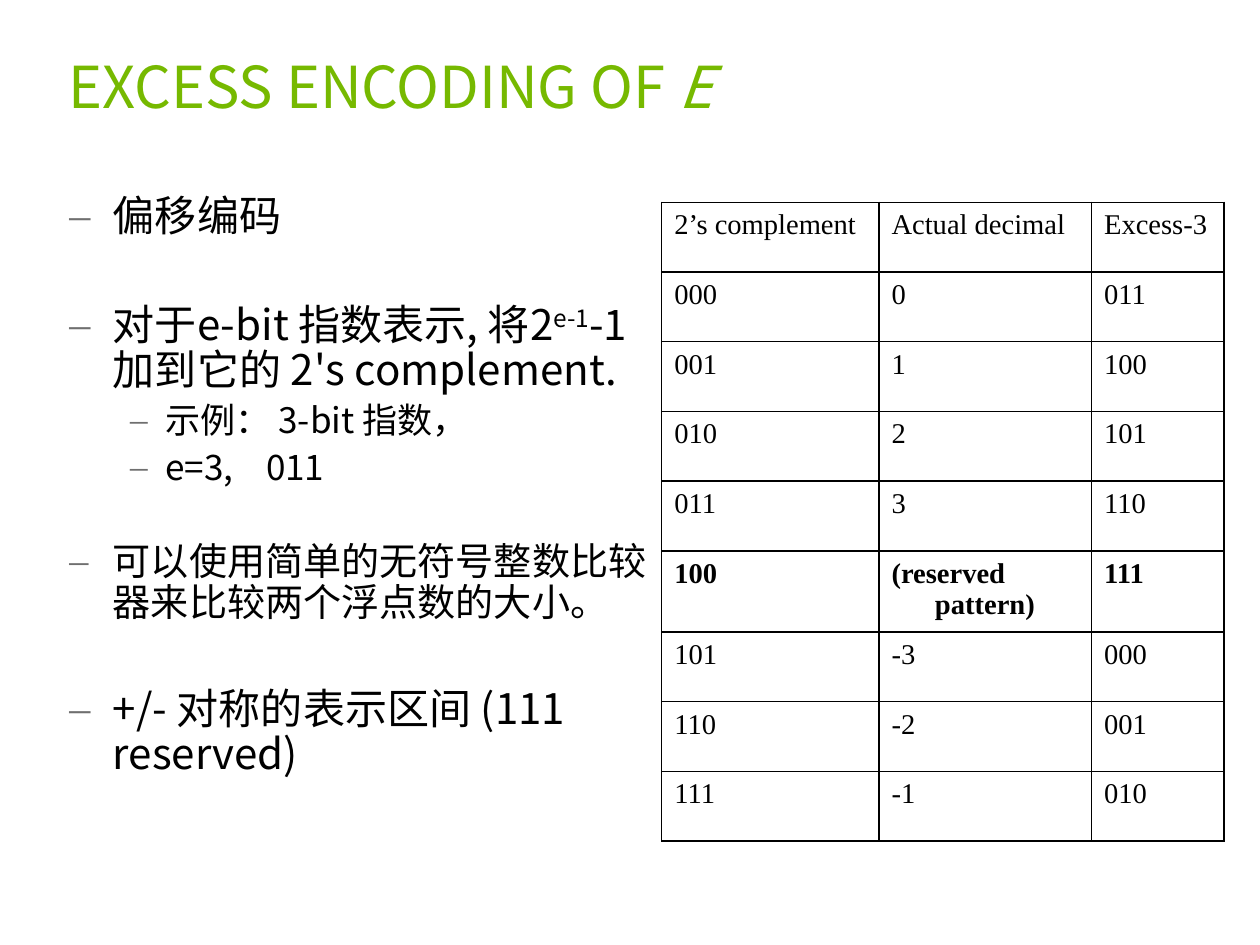
from lxml import etree
from pptx import Presentation
from pptx.dml.color import RGBColor
from pptx.enum.text import MSO_ANCHOR
from pptx.oxml.ns import qn
from pptx.util import Cm, Inches, Pt

TOP = MSO_ANCHOR.TOP
WIDTH, HEIGHT = Cm(28), Cm(21)
COLORS = {"heading": "76B900", "text": "000000", "dash": "6F6F6F", "grid": "000000"}
SANS, SERIF = "Noto Sans CJK SC", "Times New Roman"

HEADING = [("EXCESS ENCODING OF ", {}), ("E", {"italic": True})]
POINTS = [
    (0, 26.5, 0, [("偏移编码", {})]),
    (0, 26.5, 37, [("对于e-bit 指数表示, 将2", {}), ("e-1", {"raised": True}),
                   ("-1 加到它的 2's complement.", {})]),
    (1, 22.1, 2.7, [("示例： 3-bit 指数，", {})]),
    (1, 22.1, 2.7, [("e=3,\t011", {})]),
    (0, 24, 32, [("可以使用简单的无符号整数比较器来比较两个浮点数的大小。", {})]),
    (0, 26.5, 37, [("+/- 对称的表示区间 (111 reserved)", {})]),
]
ENCODINGS = [
    ("2’s complement", "Actual decimal", "Excess-3"),
    ("000", "0", "011"),
    ("001", "1", "100"),
    ("010", "2", "101"),
    ("011", "3", "110"),
    ("100", "(reserved pattern)", "111"),
    ("101", "-3", "000"),
    ("110", "-2", "001"),
    ("111", "-1", "010"),
]
RESERVED_ROW = 5
COLUMN_WIDTHS = (1.9, 1.86, 1.16)
ROW_HEIGHT, RESERVED_HEIGHT = 0.61, 0.7
LEVEL_INDENTS = ((0.38, -0.38), (0.84, -0.31))
VALUE_TAB = 1.72
FRAME_INSETS = (0.1, 0.04, 0.1, 0.04)
CELL_INSETS = (0.11, 0.06, 0.11, 0.05)


def add_color(parent, color):
    fill = etree.SubElement(parent, qn("a:solidFill"))
    etree.SubElement(fill, qn("a:srgbClr"), val=COLORS[color])


def write(paragraph, text, font=SANS, size=18, color="text", bold=False, italic=False, raised=False):
    run = paragraph.add_run()
    run.text = text
    run.font.name, run.font.size = font, Pt(size)
    run.font.bold, run.font.italic = bold, italic
    run.font.color.rgb = RGBColor.from_string(COLORS[color])
    properties = run._r.get_or_add_rPr()
    etree.SubElement(properties, qn("a:ea"), typeface=font)
    if raised:
        properties.set("baseline", "30000")


def indent(paragraph, level=0):
    properties = paragraph._p.get_or_add_pPr()
    for key, inches in zip(("marL", "indent"), LEVEL_INDENTS[level]):
        properties.set(key, str(Inches(inches)))
    return properties


def add_dash(paragraph, level, tabbed):
    properties = indent(paragraph, level)
    tint = etree.SubElement(properties, qn("a:buClr"))
    etree.SubElement(tint, qn("a:srgbClr"), val=COLORS["dash"])
    etree.SubElement(properties, qn("a:buFont"), typeface=SERIF)
    etree.SubElement(properties, qn("a:buChar"), char="–")
    if tabbed:
        tabs = etree.SubElement(properties, qn("a:tabLst"))
        etree.SubElement(tabs, qn("a:tab"), pos=str(Inches(VALUE_TAB)), algn="l")


def set_insets(holder, insets):
    left, top, right, bottom = (Inches(inset) for inset in insets)
    holder.margin_left, holder.margin_right = left, right
    holder.margin_top, holder.margin_bottom = top, bottom
    holder.vertical_anchor = TOP


def add_frame(slide, x, y, width, height):
    frame = slide.shapes.add_textbox(*(Inches(v) for v in (x, y, width, height))).text_frame
    frame.word_wrap = True
    set_insets(frame, FRAME_INSETS)
    return frame


def outline(cell):
    properties = cell._tc.get_or_add_tcPr()
    for side in ("a:lnL", "a:lnR", "a:lnT", "a:lnB"):
        add_color(etree.SubElement(properties, qn(side), w=str(Pt(1))), "grid")
    cell.fill.background()


def add_encodings(slide):
    heights = [RESERVED_HEIGHT if r == RESERVED_ROW else ROW_HEIGHT for r in range(len(ENCODINGS))]
    table = slide.shapes.add_table(
        len(heights), len(COLUMN_WIDTHS), Inches(5.79), Inches(1.77),
        Inches(sum(COLUMN_WIDTHS)), Inches(sum(heights))).table
    table.first_row = table.horz_banding = False
    for column, width in zip(table.columns, COLUMN_WIDTHS):
        column.width = Inches(width)
    for r, values in enumerate(ENCODINGS):
        table.rows[r].height = Inches(heights[r])
        for c, value in enumerate(values):
            cell = table.cell(r, c)
            set_insets(cell, CELL_INSETS)
            outline(cell)
            paragraph = cell.text_frame.paragraphs[0]
            indent(paragraph)
            write(paragraph, value, font=SERIF, bold=r == RESERVED_ROW)


def main():
    deck = Presentation()
    deck.slide_width = WIDTH
    deck.slide_height = HEIGHT
    slide = deck.slides.add_slide(deck.slide_layouts[6])

    heading = add_frame(slide, 0.5, 0.47, 10.02, 1.2).paragraphs[0]
    heading.line_spacing = 0.9
    for text, style in HEADING:
        write(heading, text, size=36.4, color="heading", **style)

    points = add_frame(slide, 0.51, 1.67, 5.36, 6.1)
    for number, (level, size, before, parts) in enumerate(POINTS):
        paragraph = points.add_paragraph() if number else points.paragraphs[0]
        paragraph.level = level
        add_dash(paragraph, level, any("\t" in text for text, _ in parts))
        paragraph.line_spacing = 0.9
        paragraph.space_before, paragraph.space_after = Pt(before), Pt(2.7)
        for text, style in parts:
            write(paragraph, text, size=size, **style)

    add_encodings(slide)
    deck.save("out.pptx")


if __name__ == "__main__":
    main()
